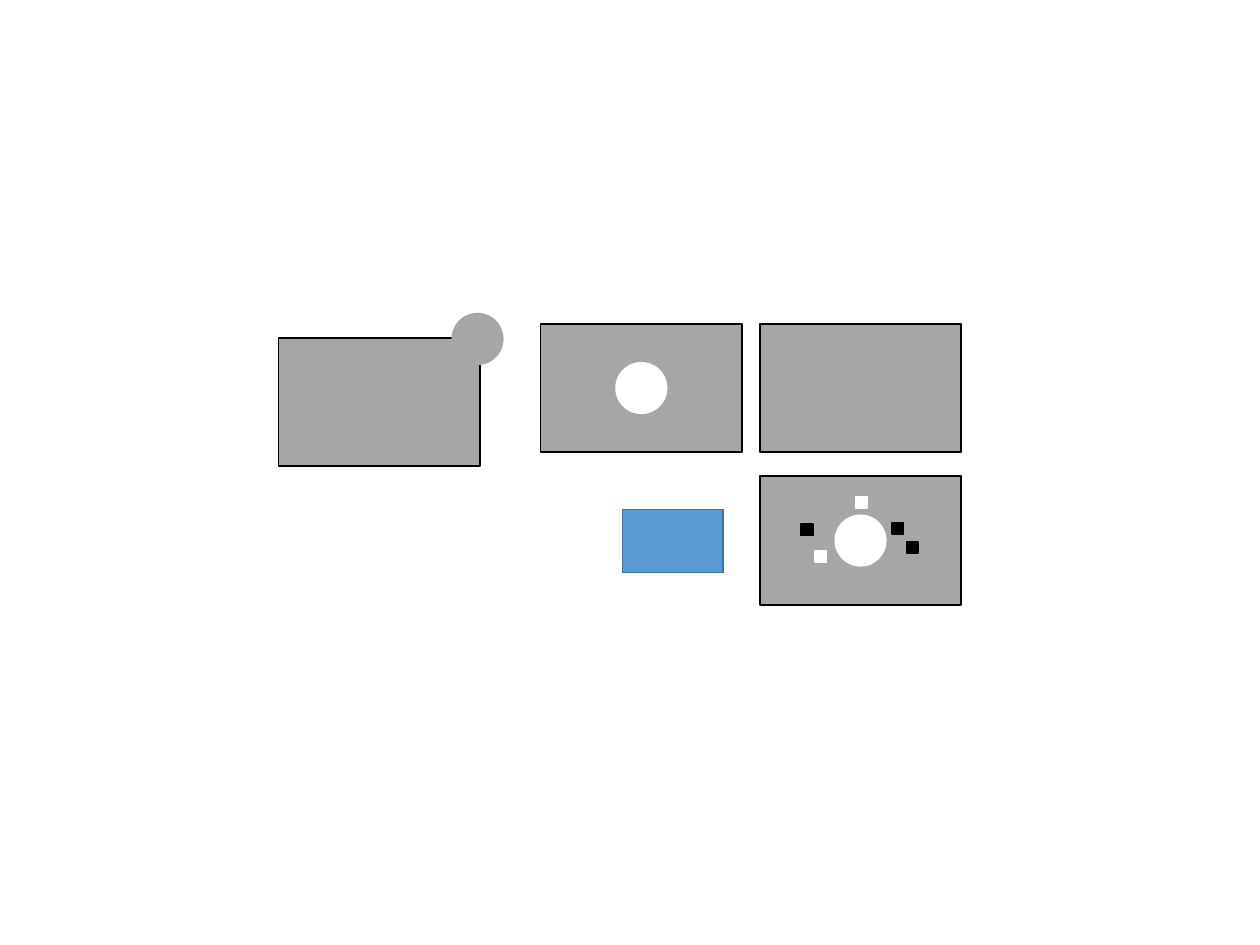
from pptx import Presentation
from pptx.dml.color import RGBColor
from pptx.enum import shapes as sh
from pptx.util import Pt

GREY = RGBColor(0xA6, 0xA6, 0xA6)
BLACK = RGBColor(0, 0, 0)
WHITE = RGBColor(255, 255, 255)
BLUE = RGBColor(0x5B, 0x9B, 0xD5)
DARK_BLUE = RGBColor(0x43, 0x73, 0x9E)

PANEL_W, PANEL_H = 115.2, 73.44
DISC = 28.8
DOT = 6.48


class Sketch:
    line_width = 1

    def __init__(self, slide):
        self.slide = slide

    def group(self):
        return self.slide.shapes.add_group_shape().shapes

    def outline(self, kind, left, top, width, height, fill, line, parent=None):
        target = self.slide.shapes if parent is None else parent
        item = target.add_shape(kind, Pt(left), Pt(top), Pt(width), Pt(height))
        item.shadow.inherit = False
        item.fill.solid()
        item.fill.fore_color.rgb = fill
        item.line.color.rgb = line
        item.line.width = Pt(self.line_width)

    def box(self, left, top, width, height, fill, line, parent=None):
        self.outline(sh.MSO_SHAPE.RECTANGLE, left, top, width, height, fill, line, parent)

    def panel(self, left, top, parent=None):
        self.box(left, top, PANEL_W, PANEL_H, GREY, BLACK, parent)

    def disc(self, center_x, center_y, color, parent=None):
        self.outline(sh.MSO_SHAPE.OVAL, center_x - DISC / 2, center_y - DISC / 2,
                     DISC, DISC, color, color, parent)

    def dot(self, left, top, color, parent):
        self.box(left, top, DOT, DOT, color, color, parent)

    def holed_panel(self, left, top):
        parent = self.group()
        self.panel(left, top, parent)
        self.disc(left + PANEL_W / 2, top + PANEL_H / 2, WHITE, parent)
        return parent


def main():
    deck = Presentation()
    deck.slide_width, deck.slide_height = Pt(720), Pt(540)
    sketch = Sketch(deck.slides.add_slide(deck.slide_layouts[6]))

    right, upper, lower = 434.16, 185.04, 272.16
    sketch.panel(right, upper)
    sketch.holed_panel(308.88, upper)

    sketch.panel(159.12, 192.96)
    sketch.disc(272.88, 193.68, GREY)

    sketch.box(355.68, 291.24, 57.6, 36, BLUE, DARK_BLUE)

    dotted_panel = sketch.holed_panel(right, lower)
    for left, top, color in (
        (457.92, 299.52, BLACK),
        (465.84, 314.64, WHITE),
        (488.88, 283.68, WHITE),
        (509.76, 298.8, BLACK),
        (518.04, 309.6, BLACK),
    ):
        sketch.dot(left, top, color, dotted_panel)

    deck.save("out.pptx")


if __name__ == "__main__":
    main()
